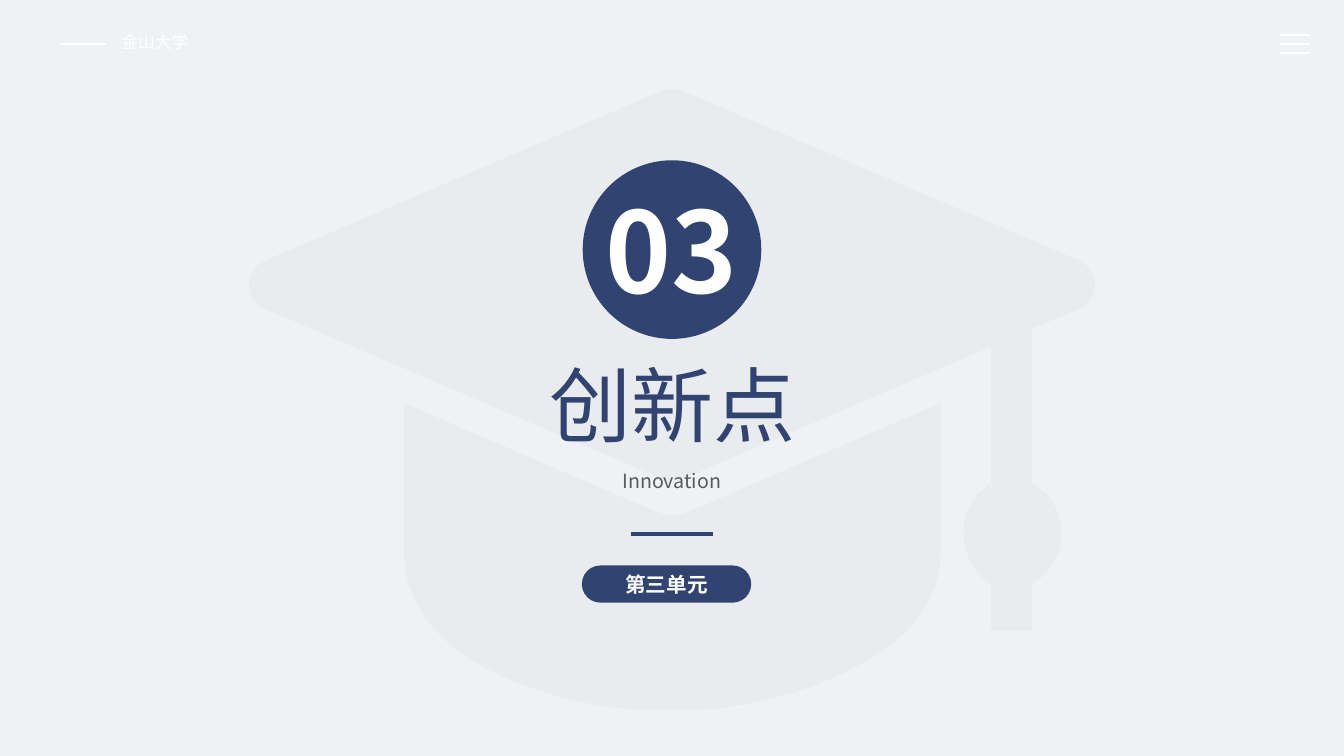
import pptx
import pptx.util
import pptx.dml.color
import pptx.enum.shapes
import pptx.enum.text
import pptx.oxml.ns
from lxml import etree

Pt = pptx.util.Pt
qn = pptx.oxml.ns.qn
SHAPES = pptx.enum.shapes.MSO_SHAPE
FONT = "Noto Sans CJK SC"
COLORS = {
    "background": "EEF2F5",
    "navy": "304371",
    "white": "FFFFFF",
    "gray": "595959",
    "cap": "808080",
}

CAP_BOARD = [
    (771.8, 186.5), (486, 64.1),
    (484.6, 63.4, 481.7, 63.4, 480.2, 63.4),
    (478.1, 63.4, 476.6, 63.4, 474.5, 64.1),
    (188.6, 186.5),
    (182.2, 189.4, 177.8, 195.8, 177.8, 203.8),
    (177.8, 211, 182.2, 217.4, 188.6, 220.3),
    (474.5, 342.7),
    (478.1, 344.2, 482.4, 344.2, 486, 342.7),
    (707.8, 247.7), (707.8, 345.6),
    (696.2, 351.4, 688.3, 365, 688.3, 380.9),
    (688.3, 396.7, 696.2, 410.4, 707.8, 416.9),
    (707.8, 450.7), (737.3, 450.7), (737.3, 416.9),
    (749.5, 410.4, 758.2, 396.7, 758.2, 380.9),
    (758.2, 365, 749.5, 351.4, 737.3, 345.6),
    (737.3, 234.7), (771.8, 220.3),
    (777.6, 217.4, 781.9, 211, 781.9, 203.8),
    (781.9, 195.8, 777.6, 189.4, 771.8, 186.5),
]
CAP_BASE = [
    (480.2, 367.9),
    (475.9, 367.9, 471.6, 366.5, 467.3, 365),
    (288.7, 288), (288.7, 394.6),
    (288.7, 481, 419, 506.9, 459.4, 506.9),
    (500.4, 506.9),
    (530.6, 506.9, 671.8, 481, 671.8, 394.6),
    (671.8, 288), (493.2, 365),
    (488.9, 366.5, 484.6, 367.9, 480.2, 367.9),
]


def color(name):
    return pptx.dml.color.RGBColor.from_string(COLORS[name])


def set_values(target, values):
    for name, value in values.items():
        setattr(target, name, value)


def end_points(segments):
    return [(Pt(segment[-2]), Pt(segment[-1])) for segment in segments]


def bend_segments(shape, segments):
    lines = list(shape._element.iter(qn("a:lnTo")))
    for line, segment in zip(lines, segments):
        if len(segment) == 2:
            continue
        curve = etree.Element(qn("a:cubicBezTo"))
        for x, y in zip(segment[::2], segment[1::2]):
            etree.SubElement(
                curve, qn("a:pt"), x=str(Pt(x) - shape.left), y=str(Pt(y) - shape.top)
            )
        line.getparent().replace(line, curve)


def fill_shape(shape, fill):
    shape.shadow.inherit = False
    shape.fill.solid()
    shape.fill.fore_color.rgb = color(fill)
    shape.line.fill.background()


def add_cap(slide):
    board, base = end_points(CAP_BOARD), end_points(CAP_BASE)
    builder = slide.shapes.build_freeform(*board[0], scale=1.0)
    builder.add_line_segments(board[1:], close=True)
    builder.move_to(*base[0])
    builder.add_line_segments(base[1:], close=True)
    shape = builder.convert_to_shape()
    bend_segments(shape, CAP_BOARD[1:] + CAP_BASE[1:])
    fill_shape(shape, "cap")
    tint = shape._element.spPr.find(qn("a:solidFill")).find(qn("a:srgbClr"))
    etree.SubElement(tint, qn("a:alpha"), val="5000")


def add_shape(slide, kind, left, top, width, height):
    shape = slide.shapes.add_shape(kind, Pt(left), Pt(top), Pt(width), Pt(height))
    fill_shape(shape, "navy")
    return shape


def add_rule(slide, left, top, length, line_color, weight):
    connector = slide.shapes.add_connector(
        pptx.enum.shapes.MSO_CONNECTOR.STRAIGHT, Pt(left), Pt(top), Pt(left + length), Pt(top)
    )
    connector.line.color.rgb = color(line_color)
    connector.line.width = Pt(weight)
    etree.SubElement(connector._element.spPr, qn("a:effectLst"))


def write_text(shape, text, size, text_color, bold=False, align="CENTER", spacing=None):
    paragraph = shape.text_frame.paragraphs[0]
    set_values(paragraph, {
        "alignment": getattr(pptx.enum.text.PP_ALIGN, align),
        "line_spacing": spacing,
    })
    run = paragraph.add_run()
    run.text = text
    set_values(run.font, {"name": FONT, "size": Pt(size), "bold": bold})
    run.font.color.rgb = color(text_color)
    etree.SubElement(run.font._element, qn("a:ea"), typeface=FONT)


def add_text(slide, left, top, width, height, text, size, text_color, wrap=True, **text_format):
    box = slide.shapes.add_textbox(Pt(left), Pt(top), Pt(width), Pt(height))
    set_values(box.text_frame, {
        "word_wrap": wrap,
        "auto_size": pptx.enum.text.MSO_AUTO_SIZE.SHAPE_TO_FIT_TEXT,
    })
    write_text(box, text, size, text_color, **text_format)


def add_pill(slide, left, top, width, height, text, size):
    pill = add_shape(slide, SHAPES.ROUNDED_RECTANGLE, left, top, width, height)
    pill.adjustments[0] = 0.5
    pill.text_frame.vertical_anchor = pptx.enum.text.MSO_ANCHOR.MIDDLE
    write_text(pill, text, size, "white", bold=True)


def main():
    presentation = pptx.Presentation()
    set_values(presentation, {"slide_width": Pt(960), "slide_height": Pt(540)})
    slide = presentation.slides.add_slide(presentation.slide_layouts[6])
    slide.background.fill.solid()
    slide.background.fill.fore_color.rgb = color("background")

    add_cap(slide)
    add_rule(slide, 42.6, 31.3, 33.6, "white", 1.5)
    add_text(slide, 79.6, 19.2, 90, 24.6, "金山大学", 12, "white", align="LEFT")
    for index in range(3):
        add_rule(slide, 914.4, 24.8 + 6.5 * index, 21.4, "white", 1.5)

    add_shape(slide, SHAPES.OVAL, 416.2, 114.5, 127.6, 127.6)
    add_text(slide, 399.7, 126.2, 159.8, 104.4, "03", 80, "white", bold=True)
    add_text(slide, 384.8, 249.8, 190.8, 78.5, "创新点", 58.6, "navy", wrap=False)
    add_text(slide, 168.5, 326.2, 622.8, 29.5, "Innovation", 14, "gray", spacing=1.3)
    add_rule(slide, 450.7, 381.4, 58.6, "navy", 3)
    add_pill(slide, 415.6, 403.9, 121, 26.6, "第三单元", 14.7)
    presentation.save("out.pptx")


if __name__ == "__main__":
    main()
